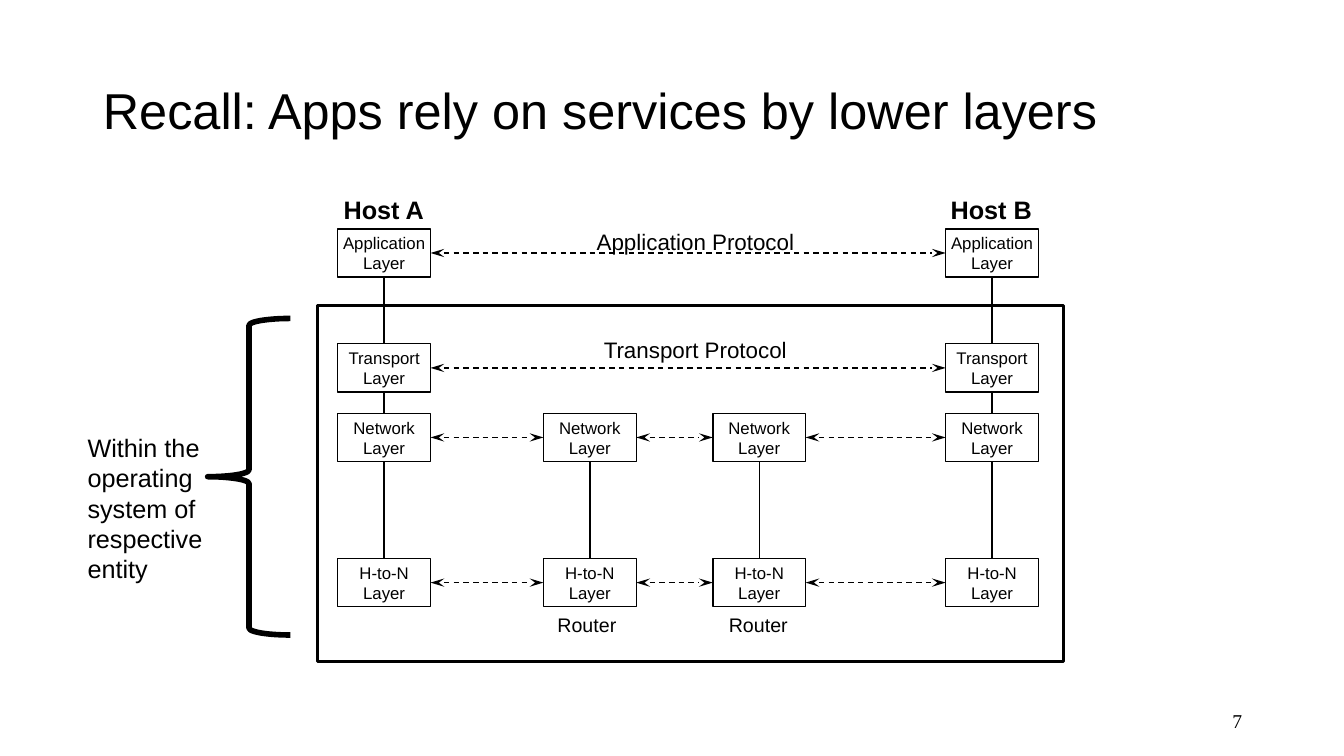
from dataclasses import dataclass

from lxml import etree
from pptx import Presentation
from pptx.dml.color import RGBColor
from pptx.enum.dml import MSO_LINE
from pptx.enum.shapes import MSO_CONNECTOR, MSO_SHAPE
from pptx.enum.text import MSO_ANCHOR, MSO_AUTO_SIZE, PP_ALIGN
from pptx.oxml.ns import qn
from pptx.util import Inches, Pt

STRAIGHT = MSO_CONNECTOR.STRAIGHT
RECTANGLE, LEFT_BRACE = MSO_SHAPE.RECTANGLE, MSO_SHAPE.LEFT_BRACE
DASH = MSO_LINE.DASH
MIDDLE, TOP_ANCHOR = MSO_ANCHOR.MIDDLE, MSO_ANCHOR.TOP
FIT_SHAPE, NO_FIT = MSO_AUTO_SIZE.SHAPE_TO_FIT_TEXT, MSO_AUTO_SIZE.NONE
LEFT_ALIGN, CENTER, RIGHT_ALIGN = PP_ALIGN.LEFT, PP_ALIGN.CENTER, PP_ALIGN.RIGHT
TOP, LEFT, BOTTOM, RIGHT = range(4)
TITLE_ONLY = 5


@dataclass(frozen=True)
class Theme:
    ink: RGBColor = RGBColor(0, 0, 0)
    paper: RGBColor = RGBColor(255, 255, 255)
    font: str = "Arial"
    number_font: str = "Times New Roman"
    title: int = 36
    heading: int = 18
    protocol: int = 16
    caption: int = 14
    layer: int = 12
    thin: int = 1
    frame: int = 2
    brace: int = 4


class LayerSlide:
    def __init__(self, slide, theme):
        self.slide, self.theme = slide, theme

    def set_text(self, frame, text, size, align=LEFT_ALIGN, bold=False, font=None):
        frame.text = text
        for paragraph in frame.paragraphs:
            paragraph.alignment = align
            for run in paragraph.runs:
                run.font.size = Pt(size)
                run.font.name = font or self.theme.font
                run.font.bold = bold
                run.font.color.rgb = self.theme.ink

    def stroke(self, line, width):
        line.color.rgb = self.theme.ink
        line.width = Pt(width)

    def title(self, text, left, top, width, height):
        title = self.slide.shapes.title
        title.left, title.top = Inches(left), Inches(top)
        title.width, title.height = Inches(width), Inches(height)
        frame = title.text_frame
        frame.auto_size, frame.vertical_anchor = NO_FIT, MIDDLE
        self.set_text(frame, text, self.theme.title)
        frame.paragraphs[0].line_spacing = 0.9

    def label(self, text, left, top, width, height, size, wrap=False,
              fit=FIT_SHAPE, anchor=TOP_ANCHOR, **style):
        box = self.slide.shapes.add_textbox(
            Inches(left), Inches(top), Inches(width), Inches(height))
        frame = box.text_frame
        frame.word_wrap, frame.auto_size, frame.vertical_anchor = wrap, fit, anchor
        self.set_text(frame, text, size, **style)

    def outline(self, kind, left, top, width, height, line_width):
        shape = self.slide.shapes.add_shape(
            kind, Inches(left), Inches(top), Inches(width), Inches(height))
        shape.shadow.inherit = False
        shape.fill.background()
        self.stroke(shape.line, line_width)
        return shape

    def layer(self, name, left, top, width, height):
        box = self.outline(RECTANGLE, left, top, width, height, self.theme.thin)
        box.fill.solid()
        box.fill.fore_color.rgb = self.theme.paper
        frame = box.text_frame
        frame.word_wrap, frame.vertical_anchor = False, MIDDLE
        self.set_text(frame, f"{name}\nLayer", self.theme.layer, CENTER)
        return box

    def link(self, start, start_side, end, end_side):
        connector = self.slide.shapes.add_connector(STRAIGHT, 0, 0, 0, 0)
        connector.begin_connect(start, start_side)
        connector.end_connect(end, end_side)
        self.stroke(connector.line, self.theme.thin)
        etree.SubElement(connector._element.spPr, qn("a:effectLst"))
        return connector

    def exchange(self, start, end):
        """Draw a dashed two-way arrow between peers of one layer."""
        connector = self.link(start, RIGHT, end, LEFT)
        connector.line.dash_style = DASH
        outline = connector.line._get_or_add_ln()
        for tag in ("a:headEnd", "a:tailEnd"):
            etree.SubElement(outline, qn(tag), type="stealth", w="med", len="lg")


LAYER_TOPS = {"Application": 2.27, "Transport": 3.41, "Network": 4.1, "H-to-N": 5.54}
ROUTER_LAYERS = ["Network", "H-to-N"]
BOX_WIDTH, BOX_HEIGHT = 0.92, 0.48
HOST_A, ROUTER_1, ROUTER_2, HOST_B = 3.35, 5.39, 7.07, 9.38


def draw_stack(page, left, names):
    """Draw one entity's layers, the inner ones over the line joining the ends."""
    def draw(name):
        return page.layer(name, left, LAYER_TOPS[name], BOX_WIDTH, BOX_HEIGHT)

    stack = {name: draw(name) for name in (names[0], names[-1])}
    page.link(stack[names[0]], BOTTOM, stack[names[-1]], TOP)
    stack.update({name: draw(name) for name in names[1:-1]})
    return stack


def main():
    presentation = Presentation()
    presentation.slide_width, presentation.slide_height = Inches(13.33), Inches(7.5)
    theme = Theme()
    slide = presentation.slides.add_slide(presentation.slide_layouts[TITLE_ONLY])
    page = LayerSlide(slide, theme)

    page.title("Recall: Apps rely on services by lower layers", 0.92, 0.4, 11.5, 1.45)
    page.label("7", 9.42, 6.95, 3, 0.4, theme.caption, wrap=True, fit=NO_FIT,
               anchor=MIDDLE, align=RIGHT_ALIGN, font=theme.number_font)

    host_layers = list(LAYER_TOPS)
    stacks = [draw_stack(page, left, names) for left, names in (
        (HOST_A, host_layers), (ROUTER_1, ROUTER_LAYERS),
        (ROUTER_2, ROUTER_LAYERS), (HOST_B, host_layers))]

    for name in host_layers:
        peers = [stack[name] for stack in stacks if name in stack]
        for near, far in zip(peers, peers[1:]):
            page.exchange(near, far)

    for protocol, left, top, width in (("Application Protocol", 5.82, 2.21, 2.16),
                                       ("Transport Protocol", 5.89, 3.29, 2.03)):
        page.label(protocol, left, top, width, 0.37, theme.protocol)
    for host, left in (("Host A", 3.31), ("Host B", 9.33)):
        page.label(host, left, 1.88, 1.01, 0.4, theme.heading, bold=True)
    for left in (5.43, 7.13):
        page.label("Router", left, 6.03, 0.79, 0.34, theme.caption)

    page.outline(RECTANGLE, 3.15, 3.03, 7.4, 3.53, theme.frame)
    page.label("Within the operating system of respective entity",
               0.77, 4.24, 1.8, 1.62, theme.heading, wrap=True)
    page.outline(LEFT_BRACE, 2.06, 3.16, 0.82, 3.14, theme.brace)

    presentation.save("out.pptx")


if __name__ == "__main__":
    main()
